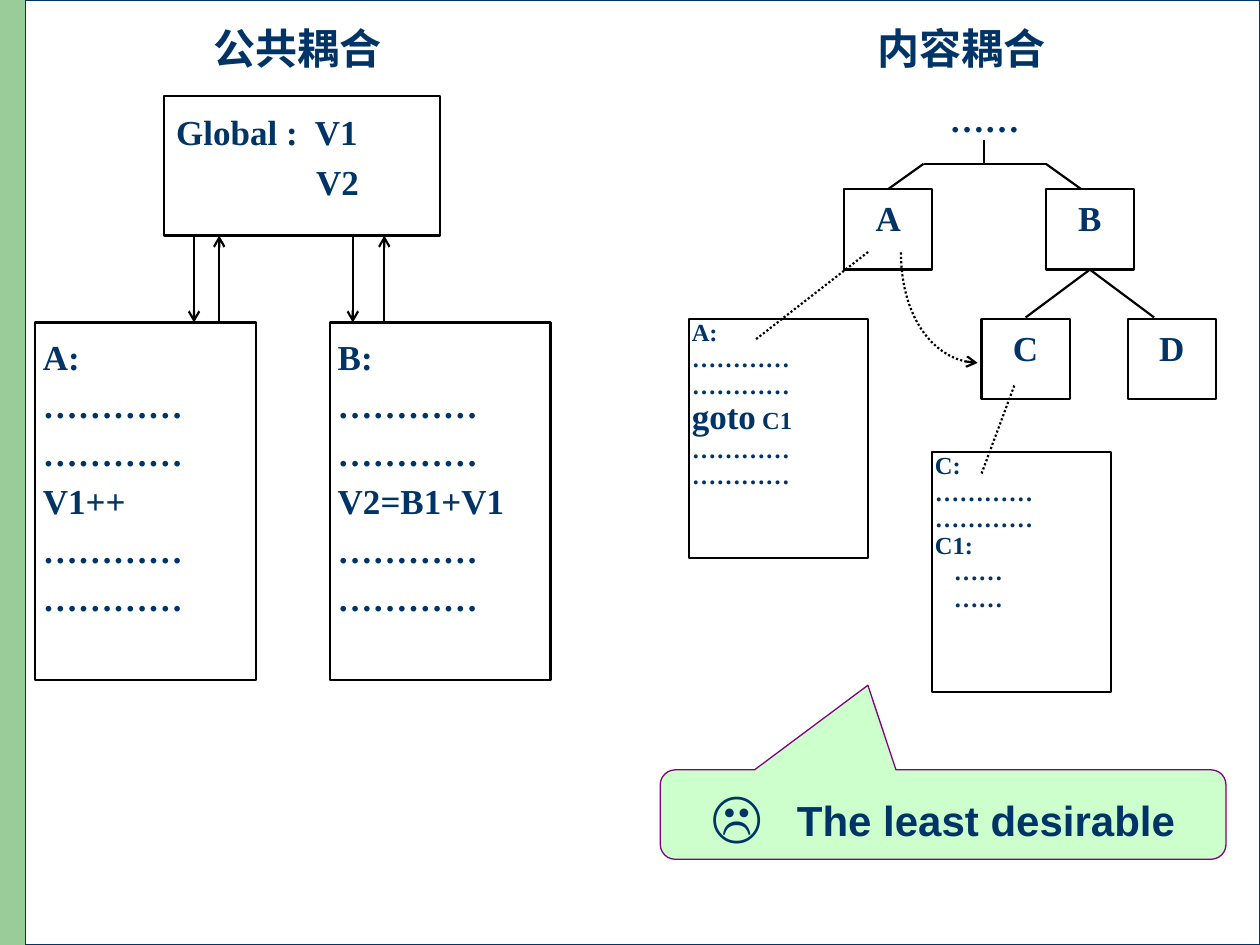
"""Builds a slide comparing common coupling and content coupling."""
from dataclasses import dataclass

from lxml import etree
from pptx import Presentation
from pptx.dml.color import RGBColor
from pptx.enum.dml import MSO_LINE
from pptx.enum.shapes import MSO_CONNECTOR, MSO_SHAPE
from pptx.enum.text import MSO_ANCHOR, PP_ALIGN
from pptx.oxml.ns import qn
from pptx.util import Inches, Pt

RECTANGLE = MSO_SHAPE.RECTANGLE
CALLOUT = MSO_SHAPE.ROUNDED_RECTANGULAR_CALLOUT
STRAIGHT = MSO_CONNECTOR.STRAIGHT
DOTTED = MSO_LINE.ROUND_DOT
CENTER, JUSTIFY = PP_ALIGN.CENTER, PP_ALIGN.JUSTIFY
TOP, MIDDLE = MSO_ANCHOR.TOP, MSO_ANCHOR.MIDDLE

COLUMNS, ROWS = 100, 75
CELL = Inches(0.1)
DOTS = "……"
LONG_DOTS = DOTS * 2


@dataclass(frozen=True)
class Theme:
    """Colours, fonts and sizes of the slide."""
    ink: str = "003366"
    black: str = "000000"
    white: str = "FFFFFF"
    strip: str = "99CC99"
    callout: str = "CCFFCC"
    callout_edge: str = "800080"
    serif: str = "Times New Roman"
    sans: str = "Arial"
    small: int = 14
    body: int = 20
    heading: int = 24
    symbol: int = 32
    thin: float = 0.75
    stroke: float = 1.25


THEME = Theme()


def cells(*values):
    """Turn grid cells into slide lengths."""
    return [round(value * CELL) for value in values]


def style_line(line, color=THEME.black, width=THEME.stroke, dash=None):
    """Set the colour, width and dash of a line."""
    line.color.rgb = RGBColor.from_string(color)
    line.width = Pt(width)
    if dash is not None:
        line.dash_style = dash


def add_arrowhead(shape, end):
    """Put an open arrowhead at headEnd or tailEnd."""
    outline = shape.line._get_or_add_ln()
    etree.SubElement(outline, qn("a:" + end), type="arrow")


def add_box(page, area, fill, edge=THEME.black, width=THEME.stroke, kind=RECTANGLE):
    """Add a filled shape, with no outline when edge is None."""
    box = page.shapes.add_shape(kind, *cells(*area))
    box.shadow.inherit = False
    box.fill.solid()
    box.fill.fore_color.rgb = RGBColor.from_string(fill)
    if edge is None:
        box.line.fill.background()
    else:
        style_line(box.line, edge, width)
    return box


def add_line(page, start, end, dash=None, arrow=False):
    """Add a straight line between two grid points."""
    line = page.shapes.add_connector(STRAIGHT, *cells(*start, *end))
    style_line(line.line, dash=dash)
    if arrow:
        add_arrowhead(line, "tailEnd")
    etree.SubElement(line._element.spPr, qn("a:effectLst"))


def add_curve(page, start, controls, end):
    """Add a dotted Bezier curve with an arrowhead at its start."""
    builder = page.shapes.build_freeform(*cells(*start))
    builder.add_line_segments([cells(*point) for point in (*controls, end)], close=False)
    curve = builder.convert_to_shape()
    curve.shadow.inherit = False
    curve.fill.background()
    style_line(curve.line, dash=DOTTED)
    add_arrowhead(curve, "headEnd")
    outline = curve._element.find(".//" + qn("a:path"))
    bezier = etree.SubElement(outline, qn("a:cubicBezTo"))
    for segment in outline.findall(qn("a:lnTo")):
        bezier.append(segment[0])
        outline.remove(segment)


def style_span(span, size, font):
    """Format one run of text."""
    span.font.size = Pt(size)
    span.font.bold = True
    span.font.name = font
    span.font.color.rgb = RGBColor.from_string(THEME.ink)
    if font == THEME.serif:
        etree.SubElement(span._r.get_or_add_rPr(), qn("a:ea"), typeface=font)


def write(box, text, size, font=THEME.serif, align=CENTER, spacing=None,
          insets=(1, 0.5, 1, 0.5), anchor=TOP):
    """Fill a box with evenly formatted paragraphs."""
    frame = box.text_frame
    frame.word_wrap = True
    frame.vertical_anchor = anchor
    (frame.margin_left, frame.margin_top,
     frame.margin_right, frame.margin_bottom) = cells(*insets)
    frame.text = text
    for para in frame.paragraphs:
        para.alignment = align
        if spacing:
            para.line_spacing = spacing
        for span in para.runs:
            style_span(span, size, font)
    return frame.paragraphs


def add_label(page, area, text, size, font, insets=(1, 0.5, 1, 0.5)):
    """Add a centred text box."""
    write(page.shapes.add_textbox(*cells(*area)), text, size, font, insets=insets)


def add_code(page, area, lines, size, spacing, insets):
    """Add a white box with lines of code and return its paragraphs."""
    return write(add_box(page, area, THEME.white), "\n".join(lines), size,
                 align=JUSTIFY, spacing=spacing, insets=insets)


def indent(para, amount):
    """Indent a whole paragraph by grid cells."""
    para._p.get_or_add_pPr().set("marL", str(cells(amount)[0]))


def set_tab(para, position):
    """Give a paragraph one left tab stop."""
    tabs = etree.SubElement(para._p.get_or_add_pPr(), qn("a:tabLst"))
    etree.SubElement(tabs, qn("a:tab"), pos=str(cells(position)[0]), algn="l")


def add_common_coupling(page):
    """Draw two modules sharing global variables."""
    variables = add_code(page, (13, 7.6, 21.9, 11.1), ("Global :\tV1", "V2"),
                         THEME.body, 1.2, (1, 0.5, 1, 0.5))
    set_tab(variables[0], 11)
    indent(variables[1], 11.1)
    for left, name, statement in ((2.8, "A:", "V1++"), (26.2, "B:", "V2=B1+V1")):
        lines = (name, LONG_DOTS, LONG_DOTS, statement, LONG_DOTS, LONG_DOTS)
        add_code(page, (left, 25.6, 17.5, 28.4), lines, THEME.body, 1.15,
                 (0.6, 0.5, 0.2, 0.5))
    for down, up in ((15.4, 17.4), (28, 30.5)):
        add_line(page, (down, 18.7), (down, 25.6), arrow=True)
        add_line(page, (up, 25.6), (up, 18.7), arrow=True)
    add_label(page, (13.8, 1.3, 19.7, 5), "公共耦合", THEME.heading, THEME.sans)


def add_content_coupling(page):
    """Draw a module tree with a jump into another module."""
    add_label(page, (73.3, 7.6, 9.7, 3.9), DOTS, THEME.body, THEME.serif,
              (0.6, 0.1, 0.6, 0.1))
    for start, end in (((78.1, 11.1), (78.1, 13)), ((73.3, 13), (83, 13)),
                       ((73.3, 13), (70.5, 15)), ((83, 13), (85.8, 15)),
                       ((86.5, 21.4), (81.4, 25.2)), ((86.5, 21.4), (91.6, 25.2))):
        add_line(page, start, end)
    for name, left, top in (("A", 67, 15), ("B", 83, 15),
                            ("C", 77.9, 25.3), ("D", 89.5, 25.3)):
        write(add_box(page, (left, top, 7, 6.4), THEME.white), name, THEME.body,
              insets=(0.2, 0.6, 0.2, 0.2))
    add_curve(page, (77.6, 28.8), ((74.2, 28.8), (71.5, 24.8)), (71.5, 20))

    tight = (THEME.small, 0.9, (0.2, 0.1, 0.2, 0.1))
    jump = add_code(page, (54.7, 25.3, 14.2, 19),
                    ("A:", LONG_DOTS, LONG_DOTS, "goto", LONG_DOTS, LONG_DOTS), *tight)[3]
    jump.runs[0].font.size = Pt(THEME.body)
    target = jump.add_run()
    target.text = " C1"
    style_span(target, THEME.small, THEME.serif)
    add_line(page, (68.9, 20), (59.9, 27), DOTTED)

    module = add_code(page, (74, 35.9, 14.2, 19),
                      ("C:", LONG_DOTS, LONG_DOTS, "C1:", DOTS, DOTS), *tight)
    for para in module[4:]:
        indent(para, 1.5)
    add_line(page, (80.5, 30.6), (77.9, 37.6), DOTTED)
    add_label(page, (66.5, 1.3, 19.7, 5), "内容耦合", THEME.heading, THEME.sans)


def add_verdict(page):
    """Add the callout that judges content coupling."""
    box = add_box(page, (52.4, 61.1, 44.9, 7.1), THEME.callout,
                  THEME.callout_edge, THEME.thin, CALLOUT)
    for index, value in enumerate((-0.133, -1.446, 0.167)):
        box.adjustments[index] = value
    para = write(box, "☹", THEME.symbol, THEME.sans, anchor=MIDDLE)[0]
    gap, verdict = para.add_run(), para.add_run()
    gap.text, verdict.text = " ", "The least desirable"
    for span in (gap, verdict):
        style_span(span, THEME.heading, THEME.sans)
    gap._r.get_or_add_rPr().set("spc", "1300")


def main():
    """Build and save the deck."""
    deck = Presentation()
    deck.slide_width, deck.slide_height = cells(COLUMNS, ROWS)
    page = deck.slides.add_slide(deck.slide_layouts[6])
    add_box(page, (0, 0, 8.1, ROWS), THEME.strip, None)
    add_box(page, (2, 0, COLUMNS - 2, ROWS), THEME.white, THEME.ink, THEME.thin)
    add_common_coupling(page)
    add_content_coupling(page)
    add_verdict(page)
    deck.save("out.pptx")


main()
